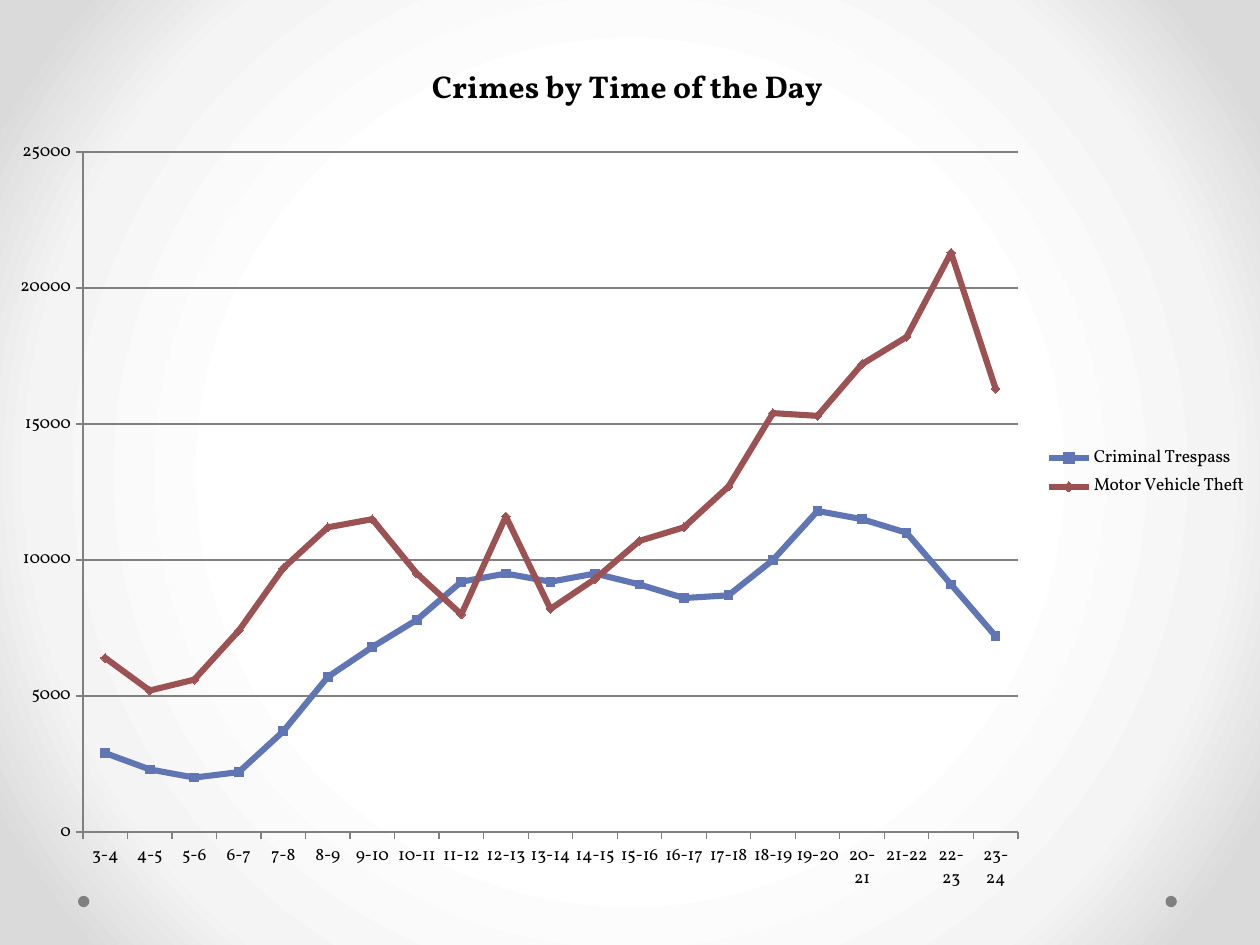
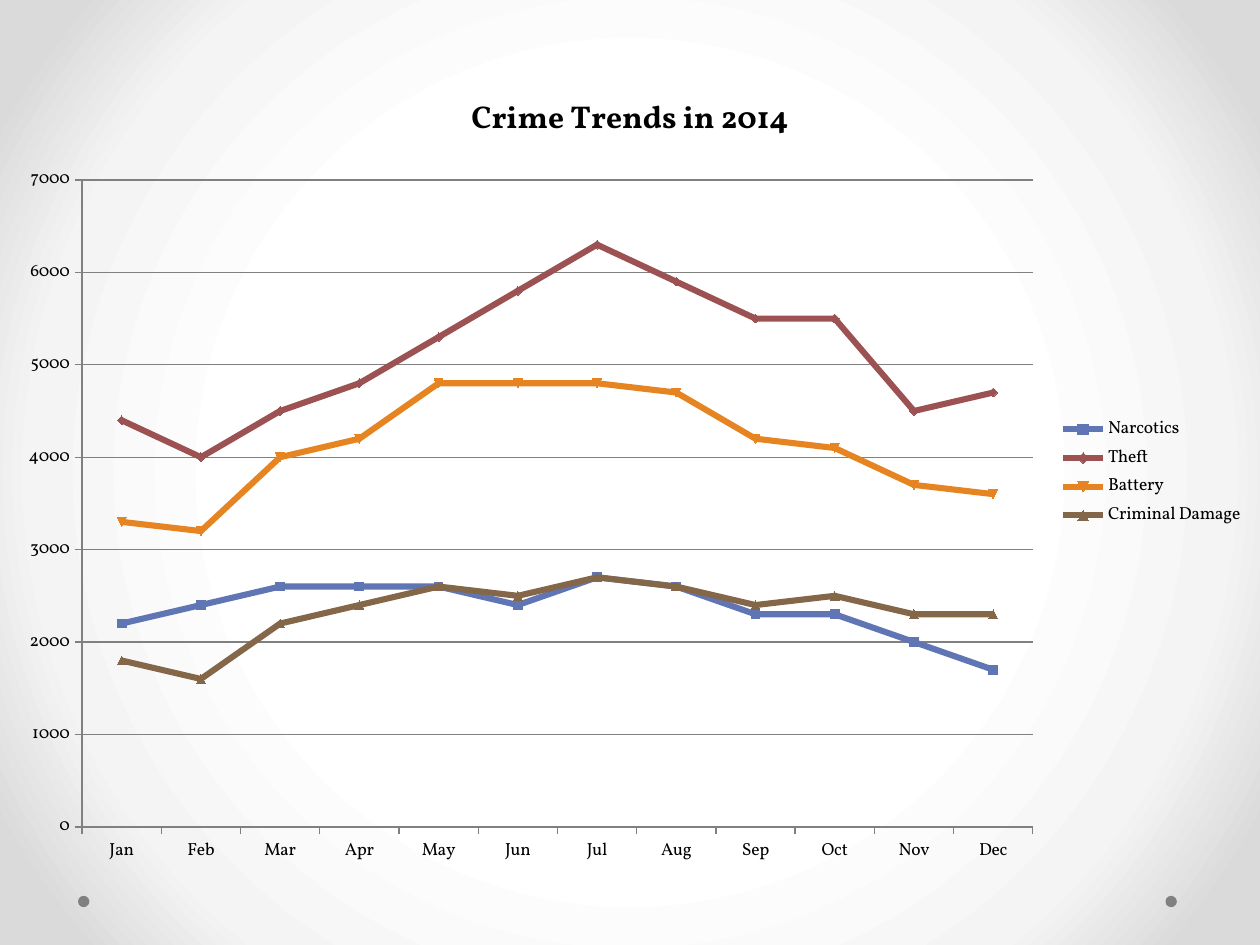
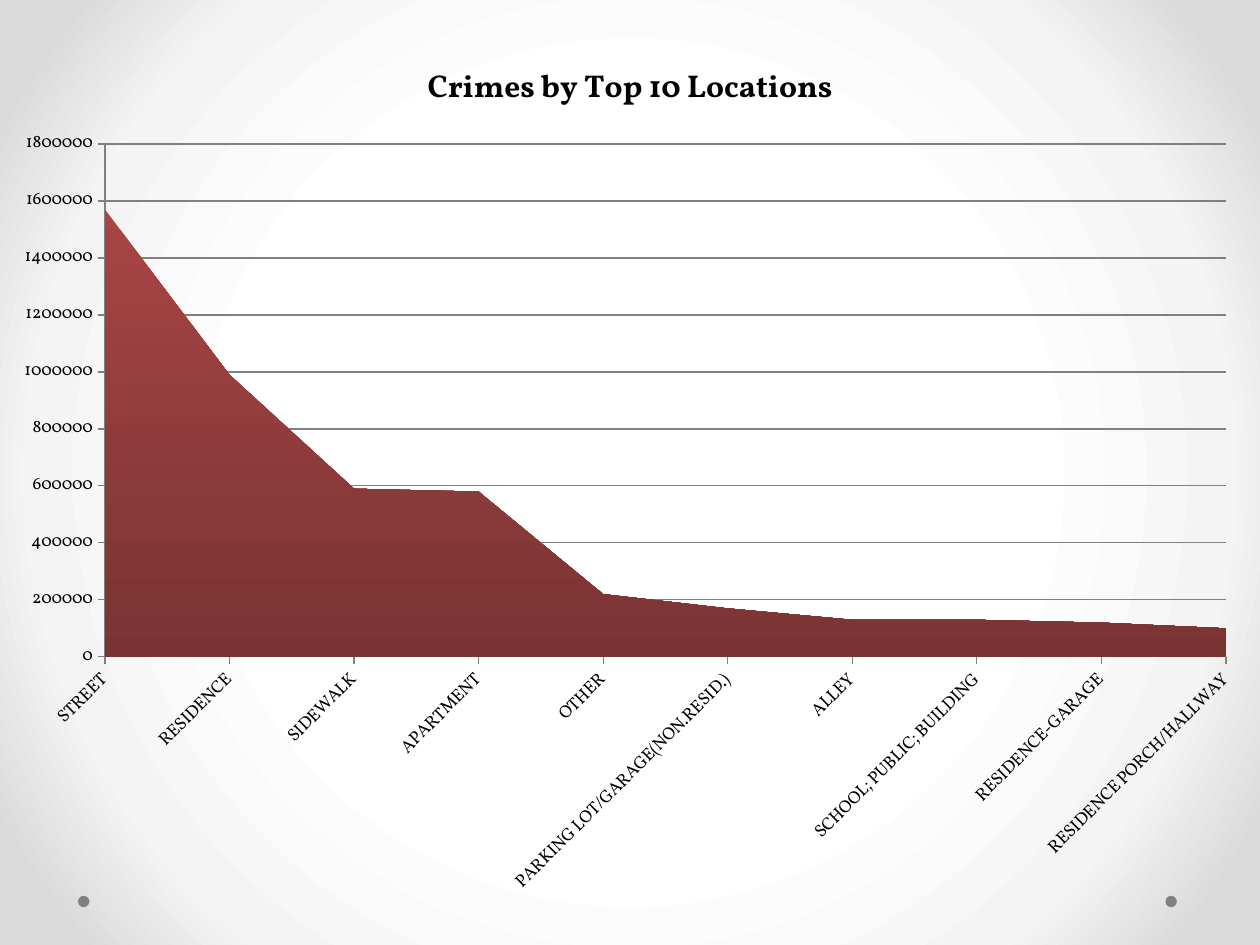
from pptx import Presentation
from pptx import util as u
from pptx.chart.data import CategoryChartData
from pptx.dml.color import RGBColor
from pptx.enum import chart as ch
from pptx.enum import shapes
from pptx.oxml import parse_xml
from pptx.oxml.ns import nsdecls

FONT = "Vollkorn"
BLACK, GRAY = "000000", "808080"
BLUE, RED, ORANGE, BROWN = "6076B4", "9C5252", "E68422", "846648"
AREA_STOPS = ("A84545", "7A3333")
BACKDROP = [(50, "FFFFFF"), (76, "F4F4F4"), (92, "DADADA")]
DOT_LEFTS, DOT_TOP, DOT_SIZE = (44.6, 666), 511.9, 6.5
TITLE_FONT = {"name": FONT, "size": u.Pt(18), "bold": True}
LABEL_FONT = {"name": FONT, "size": u.Pt(10), "bold": False}

CRIMES = [
    {
        "title": "Crimes by Time of the Day",
        "kind": ch.XL_CHART_TYPE.LINE_MARKERS,
        "frame": (-3, 20, 723, 500),
        "plot": (47.4, 86.9, 534.3, 388.6),
        "top_value": 25000,
        "step": 5000,
        "categories": [f"{hour}-{hour + 1}" for hour in range(3, 24)],
        "series": [
            ("Criminal Trespass", BLUE,
             [2900, 2300, 2000, 2200, 3700, 5700, 6800, 7800, 9200, 9500, 9200,
              9500, 9100, 8600, 8700, 10000, 11800, 11500, 11000, 9100, 7200]),
            ("Motor Vehicle Theft", RED,
             [6400, 5200, 5600, 7400, 9700, 11200, 11500, 9500, 8000, 11600, 8200,
              9300, 10700, 11200, 12700, 15400, 15300, 17200, 18200, 21300, 16300]),
        ],
    },
    {
        "title": "Crime Trends in 2014",
        "kind": ch.XL_CHART_TYPE.LINE_MARKERS,
        "frame": (2, 37.5, 716, 465),
        "plot": (46.9, 102.9, 543.4, 369.7),
        "top_value": 7000,
        "step": 1000,
        "categories": ["Jan", "Feb", "Mar", "Apr", "May", "Jun",
                       "Jul", "Aug", "Sep", "Oct", "Nov", "Dec"],
        "series": [
            ("Narcotics", BLUE,
             [2200, 2400, 2600, 2600, 2600, 2400, 2700, 2600, 2300, 2300, 2000, 1700]),
            ("Theft", RED,
             [4400, 4000, 4500, 4800, 5300, 5800, 6300, 5900, 5500, 5500, 4500, 4700]),
            ("Battery", ORANGE,
             [3300, 3200, 4000, 4200, 4800, 4800, 4800, 4700, 4200, 4100, 3700, 3600]),
            ("Criminal Damage", BROWN,
             [1800, 1600, 2200, 2400, 2600, 2500, 2700, 2600, 2400, 2500, 2300, 2300]),
        ],
    },
    {
        "title": "Crimes by Top 10 Locations",
        "kind": ch.XL_CHART_TYPE.AREA,
        "frame": (0, 19, 720, 502),
        "plot": (60, 82.3, 640.6, 293.1),
        "top_value": 1800000,
        "step": 200000,
        "categories": ["STREET", "RESIDENCE", "SIDEWALK", "APARTMENT", "OTHER",
                       "PARKING LOT/GARAGE(NON.RESID.)", "ALLEY",
                       "SCHOOL; PUBLIC; BUILDING", "RESIDENCE-GARAGE",
                       "RESIDENCE PORCH/HALLWAY"],
        "series": [
            ("Series 1", RED,
             [1570000, 990000, 590000, 580000, 220000,
              170000, 130000, 130000, 120000, 100000]),
        ],
    },
]


def rgb(color):
    return RGBColor.from_string(color)


def assign(target, values):
    for name, value in values.items():
        setattr(target, name, value)


def style_font(font, values):
    assign(font, values)
    font.color.rgb = rgb(BLACK)


def style_line(line, color, width):
    line.color.rgb = rgb(color)
    line.width = u.Pt(width)


def paint_backdrop(master):
    master.background.fill.gradient()
    gradient = master.element.xpath(".//p:bg//a:gradFill")[0]
    stops = "".join(
        f'<a:gs pos="{percent * 1000}"><a:srgbClr val="{color}"/></a:gs>'
        for percent, color in BACKDROP)
    gradient.getparent().replace(gradient, parse_xml(
        f'<a:gradFill {nsdecls("a")} rotWithShape="1"><a:gsLst>{stops}</a:gsLst>'
        '<a:path path="circle"><a:fillToRect l="50000" t="50000" r="50000" b="50000"/>'
        '</a:path></a:gradFill>'))


def add_dots(slide):
    for left in DOT_LEFTS:
        dot = slide.shapes.add_shape(
            shapes.MSO_SHAPE.OVAL, *map(u.Pt, (left, DOT_TOP, DOT_SIZE, DOT_SIZE)))
        dot.shadow.inherit = False
        dot.fill.solid()
        dot.fill.fore_color.rgb = rgb(GRAY)
        dot.line.fill.background()


def place_plot(chart, frame, plot):
    left, top, width, height = frame
    parts = {"x": (plot[0] - left) / width, "y": (plot[1] - top) / height,
             "w": plot[2] / width, "h": plot[3] / height}
    values = "".join(f'<c:{key} val="{part:.4f}"/>' for key, part in parts.items())
    area = chart.element.xpath(".//c:plotArea")[0]
    for layout in area.xpath("./c:layout"):
        area.remove(layout)
    area.insert(0, parse_xml(
        f'<c:layout {nsdecls("c")}><c:manualLayout><c:layoutTarget val="inner"/>'
        f'<c:xMode val="edge"/><c:yMode val="edge"/>{values}'
        '</c:manualLayout></c:layout>'))


def style_axes(chart, crime):
    assign(chart.value_axis, {
        "minimum_scale": 0, "maximum_scale": crime["top_value"],
        "major_unit": crime["step"], "has_major_gridlines": True})
    style_line(chart.value_axis.major_gridlines.format.line, GRAY, 0.75)
    for axis in (chart.category_axis, chart.value_axis):
        axis.major_tick_mark = ch.XL_TICK_MARK.OUTSIDE
        axis.minor_tick_mark = ch.XL_TICK_MARK.NONE
        style_line(axis.format.line, GRAY, 0.75)
        style_font(axis.tick_labels.font, LABEL_FONT)


def style_lines(chart, crime):
    for series, (_, color, _) in zip(chart.plots[0].series, crime["series"]):
        series.smooth = False
        style_line(series.format.line, color, 3.5)
        marker = series.marker.format
        marker.fill.solid()
        marker.fill.fore_color.rgb = rgb(color)
        style_line(marker.line, color, 0.75)
    chart.has_legend = True
    assign(chart.legend, {"position": ch.XL_LEGEND_POSITION.RIGHT,
                          "include_in_layout": False})
    style_font(chart.legend.font, LABEL_FONT)


def style_area(chart):
    chart.has_legend = False
    fill = chart.plots[0].series[0].format.fill
    fill.gradient()
    fill.gradient_angle = 270
    for stop, color in zip(fill.gradient_stops, AREA_STOPS):
        stop.color.rgb = rgb(color)
    for crossing in chart.element.xpath(".//c:valAx/c:crossBetween"):
        crossing.set("val", "midCat")
    for body in chart.element.xpath(".//c:catAx/c:txPr/a:bodyPr"):
        body.set("rot", "-2700000")


def add_crime_chart(slide, crime):
    data = CategoryChartData()
    data.categories = crime["categories"]
    for name, _, values in crime["series"]:
        data.add_series(name, values)
    chart = slide.shapes.add_chart(
        crime["kind"], *map(u.Pt, crime["frame"]), data).chart
    style_font(chart.font, LABEL_FONT)
    chart.has_title = True
    heading = chart.chart_title.text_frame
    heading.text = crime["title"]
    style_font(heading.paragraphs[0].runs[0].font, TITLE_FONT)
    chart.chart_title.include_in_layout = False
    chart.plots[0].vary_by_categories = False
    place_plot(chart, crime["frame"], crime["plot"])
    style_axes(chart, crime)
    if crime["kind"] == ch.XL_CHART_TYPE.AREA:
        style_area(chart)
    else:
        style_lines(chart, crime)


def main():
    deck = Presentation()
    assign(deck, {"slide_width": u.Pt(720), "slide_height": u.Pt(540)})
    paint_backdrop(deck.slide_master)
    for crime in CRIMES:
        slide = deck.slides.add_slide(deck.slide_layouts[6])
        add_dots(slide)
        add_crime_chart(slide, crime)
    deck.save("out.pptx")


if __name__ == "__main__":
    main()
